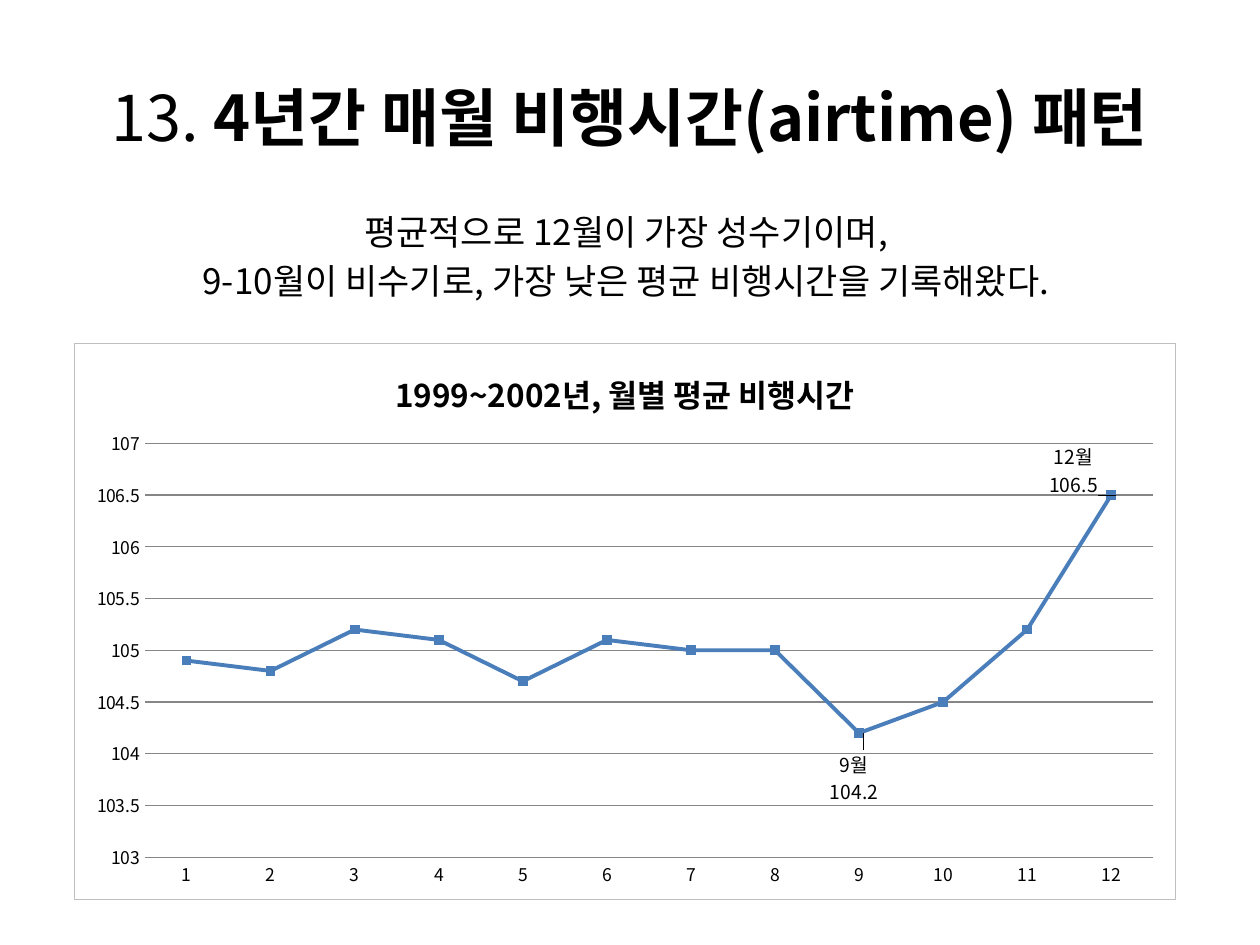
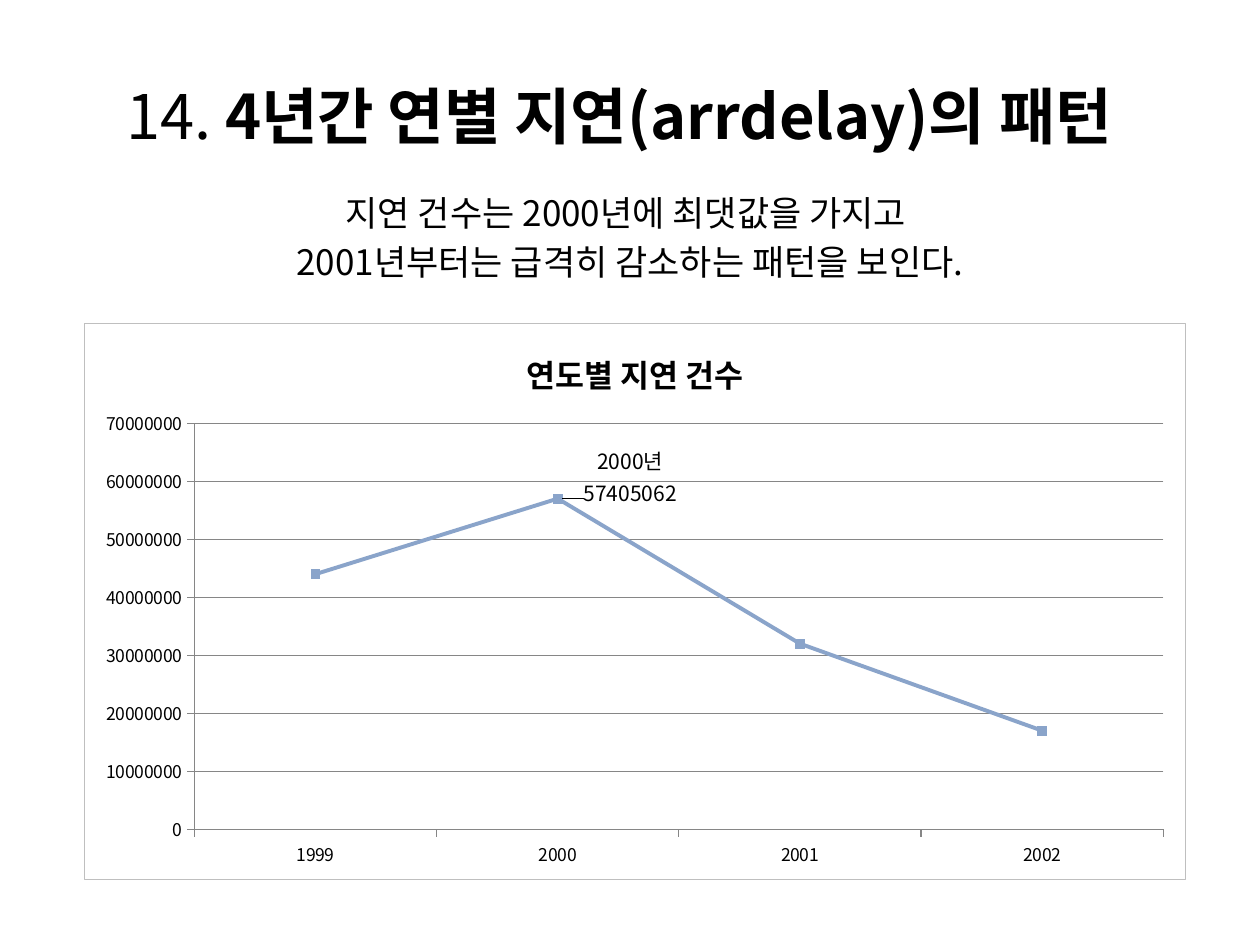
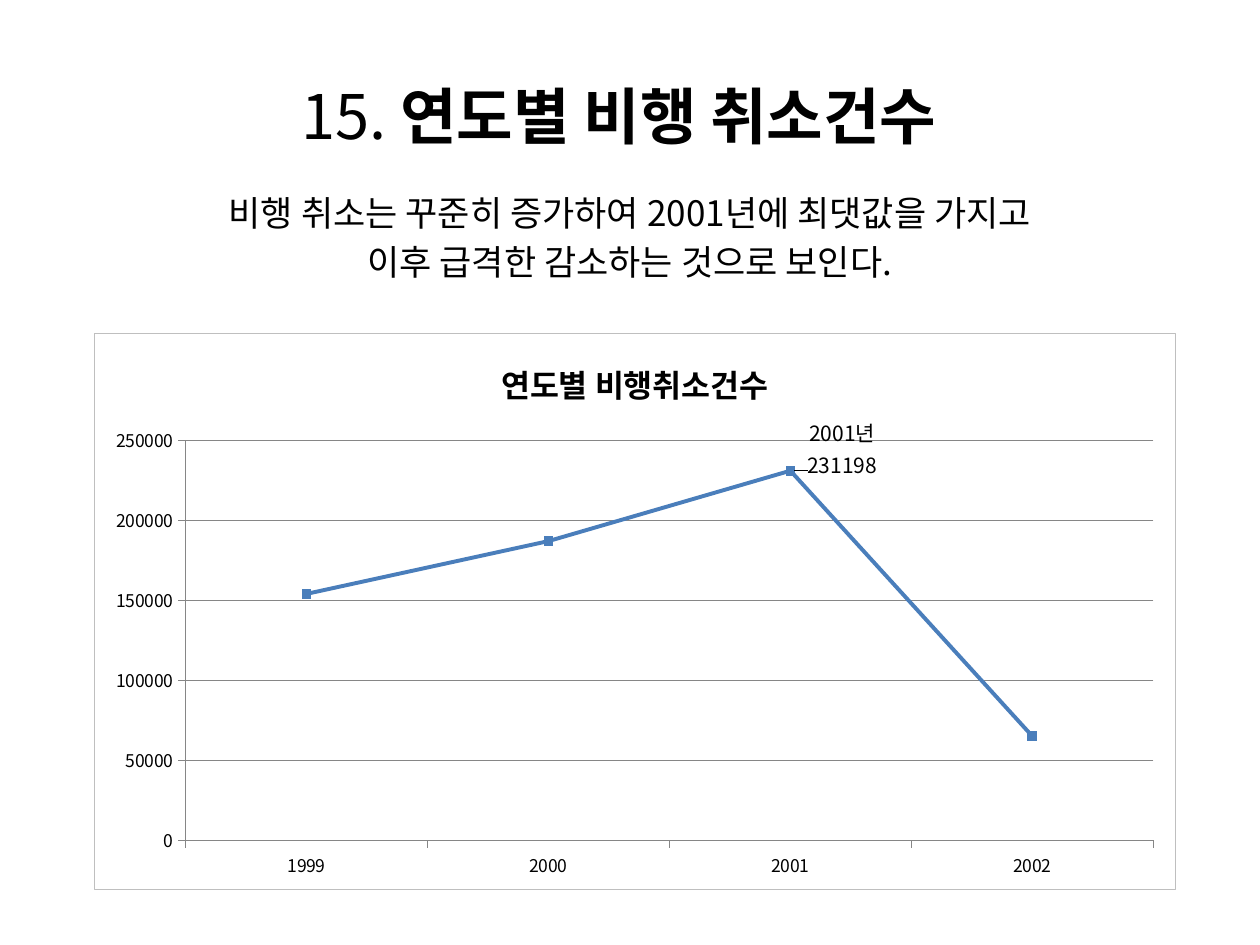
from lxml import etree
from pptx import Presentation
from pptx import util as u
from pptx.chart.data import CategoryChartData
from pptx.dml.color import RGBColor
from pptx.enum import chart as ec, text
from pptx.oxml import parse_xml
from pptx.oxml.ns import nsdecls, qn

SCALE = 914400 / 126
FONT = "Noto Sans CJK KR"
COLORS = {"ink": "000000", "grid": "868686", "border": "BFBFBF",
          "blue": "4A7EBB", "pale": "8AA4CA"}
C15 = "http://schemas.microsoft.com/office/drawing/2012/chart"


def px(n):
    return u.Emu(round(n * SCALE))


def rgb(name):
    return RGBColor.from_string(COLORS[name])


def style_run(r, size, bold=False):
    r.font.name = FONT
    r.font.size = u.Pt(size)
    r.font.bold = bold
    r.font.color.rgb = rgb("ink")


def add_text_frame(s, box):
    tf = s.shapes.add_textbox(*map(px, box)).text_frame
    tf.word_wrap = True
    return tf


def add_title(s, box, number, title, size):
    tf = add_text_frame(s, box)
    tf.vertical_anchor = text.MSO_ANCHOR.MIDDLE
    p = tf.paragraphs[0]
    p.alignment = text.PP_ALIGN.CENTER
    for words, bold in ((number, False), (title, True)):
        r = p.add_run()
        r.text = words
        style_run(r, size, bold)


def add_body(s, box, lines):
    tf = add_text_frame(s, box)
    tf.text = "\n".join(lines)
    for p in tf.paragraphs:
        p.alignment = text.PP_ALIGN.CENTER
        p.space_before = u.Pt(4)
        style_run(p.runs[0], 20)


def manual_layout(x, y, w=None, h=None):
    parts = [("x", x), ("y", y)]
    if w is not None:
        parts = [("layoutTarget", "inner"), ("xMode", "edge"), ("yMode", "edge"),
                 *parts, ("w", w), ("h", h)]
    inner = "".join(f'<c:{tag} val="{val}"/>' for tag, val in parts)
    return parse_xml(f'<c:layout {nsdecls("c")}><c:manualLayout>{inner}'
                     '</c:manualLayout></c:layout>')


def add_point_label(series, index, lines, size, dx, dy):
    label = series.points[index].data_label
    label.text_frame.text = "\n".join(lines)
    for p in label.text_frame.paragraphs:
        style_run(p.runs[0], size)
    label.position = ec.XL_LABEL_POSITION.RIGHT
    for idx in series._element.iter(qn("c:idx")):
        parent = idx.getparent()
        if parent.tag == qn("c:dLbl") and idx.get("val") == str(index):
            for old in parent.findall(qn("c:layout")):
                parent.remove(old)
            idx.addnext(manual_layout(dx, dy))


def set_leader_lines(series, shown):
    labels = series._element.find(qn("c:dLbls"))
    ext_list = etree.SubElement(labels, qn("c:extLst"))
    ext = etree.SubElement(ext_list, qn("c:ext"), nsmap={"c15": C15},
                           uri="{CE6537A1-D6FC-4f65-9D91-7224C49458BB}")
    etree.SubElement(ext, f"{{{C15}}}showLeaderLines", val=str(int(shown)))


def style_axes(chart, low, high, step, ticks):
    mark = ec.XL_TICK_MARK.OUTSIDE if ticks else ec.XL_TICK_MARK.NONE
    value, category = chart.value_axis, chart.category_axis
    value.minimum_scale, value.maximum_scale, value.major_unit = low, high, step
    value.has_major_gridlines = True
    for axis in (value, category):
        axis.major_tick_mark = mark
        axis.minor_tick_mark = ec.XL_TICK_MARK.NONE
        axis.tick_labels.number_format = "General"
        axis.tick_labels.number_format_is_linked = False
    for line in (value.major_gridlines.format.line, value.format.line,
                 category.format.line):
        line.color.rgb = rgb("grid")
        line.width = u.Pt(0.75)
    if not ticks:
        value.format.line.fill.background()


def add_line_chart(s, box, plot, title, cats, vals, scale, color, labels,
                   label_size, ticks=True, leaders=True):
    data = CategoryChartData()
    data.categories = cats
    data.add_series("Series 1", vals)
    chart = s.shapes.add_chart(ec.XL_CHART_TYPE.LINE_MARKERS,
                               *map(px, box), data).chart
    chart.has_legend = False
    chart.font.name = FONT
    chart.font.size = u.Pt(10)
    chart.font.color.rgb = rgb("ink")
    chart.has_title = True
    tf = chart.chart_title.text_frame
    tf.text = title
    style_run(tf.paragraphs[0].runs[0], 18, True)
    chart.chart_title.include_in_layout = False
    style_axes(chart, *scale, ticks)

    chart.plots[0].vary_by_categories = False
    series = chart.plots[0].series[0]
    series.smooth = False
    series.format.line.color.rgb = rgb(color)
    series.format.line.width = u.Pt(2.25)
    series.marker.style = ec.XL_MARKER_STYLE.SQUARE
    series.marker.size = 5
    series.marker.format.fill.solid()
    series.marker.format.fill.fore_color.rgb = rgb(color)
    series.marker.format.line.color.rgb = rgb(color)
    series.data_labels.show_value = False
    for index, lines, dx, dy in labels:
        add_point_label(series, index, lines, label_size, dx, dy)
    set_leader_lines(series, leaders)

    left, top, width, height = plot
    area = chart.element.find(qn("c:chart")).find(qn("c:plotArea"))
    for old in area.findall(qn("c:layout")):
        area.remove(old)
    area.insert(0, manual_layout(round(left / box[2], 4), round(top / box[3], 4),
                                 round(width / box[2], 4), round(height / box[3], 4)))
    chart.element.find(qn("c:txPr")).addprevious(parse_xml(
        f'<c:spPr {nsdecls("c", "a")}><a:noFill/><a:ln w="9525"><a:solidFill>'
        f'<a:srgbClr val="{COLORS["border"]}"/></a:solidFill></a:ln></c:spPr>'))


def add_chart_slide(prs, title_box, title, title_size, body_top, body, chart):
    s = prs.slides.add_slide(prs.slide_layouts[6])
    add_line_chart(s, **chart)
    add_title(s, title_box, *title, title_size)
    add_body(s, (63, body_top, 1134, 624), body)


YEARS = ["1999", "2000", "2001", "2002"]
LATER_TITLE = (52, 36, 1134, 157)

prs = Presentation()
prs.slide_width, prs.slide_height = px(1260), px(945)

add_chart_slide(
    prs, (63, 38, 1134, 157), ("13.", " 4년간 매월 비행시간(airtime) 패턴"), 36, 204,
    ["평균적으로 12월이 가장 성수기이며, ", "9-10월이 비수기로, 가장 낮은 평균 비행시간을 기록해왔다. "],
    dict(box=(74, 343, 1102, 557), plot=(70, 100, 1010, 415),
         title="1999~2002년, 월별 평균 비행시간",
         cats=[str(month) for month in range(1, 13)],
         vals=[104.9, 104.8, 105.2, 105.1, 104.7, 105.1,
               105, 105, 104.2, 104.5, 105.2, 106.5],
         scale=(103, 107, 0.5), color="blue", label_size=11, ticks=False,
         labels=[(8, ("9월", "104.2"), -0.035, 0.08),
                 (11, ("12월", "106.5"), -0.065, -0.045)]))

add_chart_slide(
    prs, LATER_TITLE, ("14.", " 4년간 연별 지연(arrdelay)의 패턴"), 35.1, 185,
    ["지연 건수는 2000년에 최댓값을 가지고 ", "2001년부터는 급격히 감소하는 패턴을 보인다."],
    dict(box=(84, 323, 1102, 557), plot=(110, 100, 970, 407),
         title="연도별 지연 건수", cats=YEARS,
         vals=[44000000, 57000000, 32000000, 17000000],
         scale=(0, 70000000, 10000000), color="pale", label_size=12,
         labels=[(1, ("2000년", "57405062"), 0.015, -0.04)]))

add_chart_slide(
    prs, LATER_TITLE, ("15. ", "연도별 비행 취소건수"), 35.1, 185,
    ["비행 취소는 꾸준히 증가하여 2001년에 최댓값을 가지고", "이후 급격한 감소하는 것으로 보인다."],
    dict(box=(94, 333, 1082, 557), plot=(91, 107, 969, 401),
         title="연도별 비행취소건수", cats=YEARS,
         vals=[154000, 187000, 231000, 65000],
         scale=(0, 250000, 50000), color="blue", label_size=12, leaders=False,
         labels=[(2, ("2001년", "231198"), 0.007, -0.04)]))

prs.save("out.pptx")
